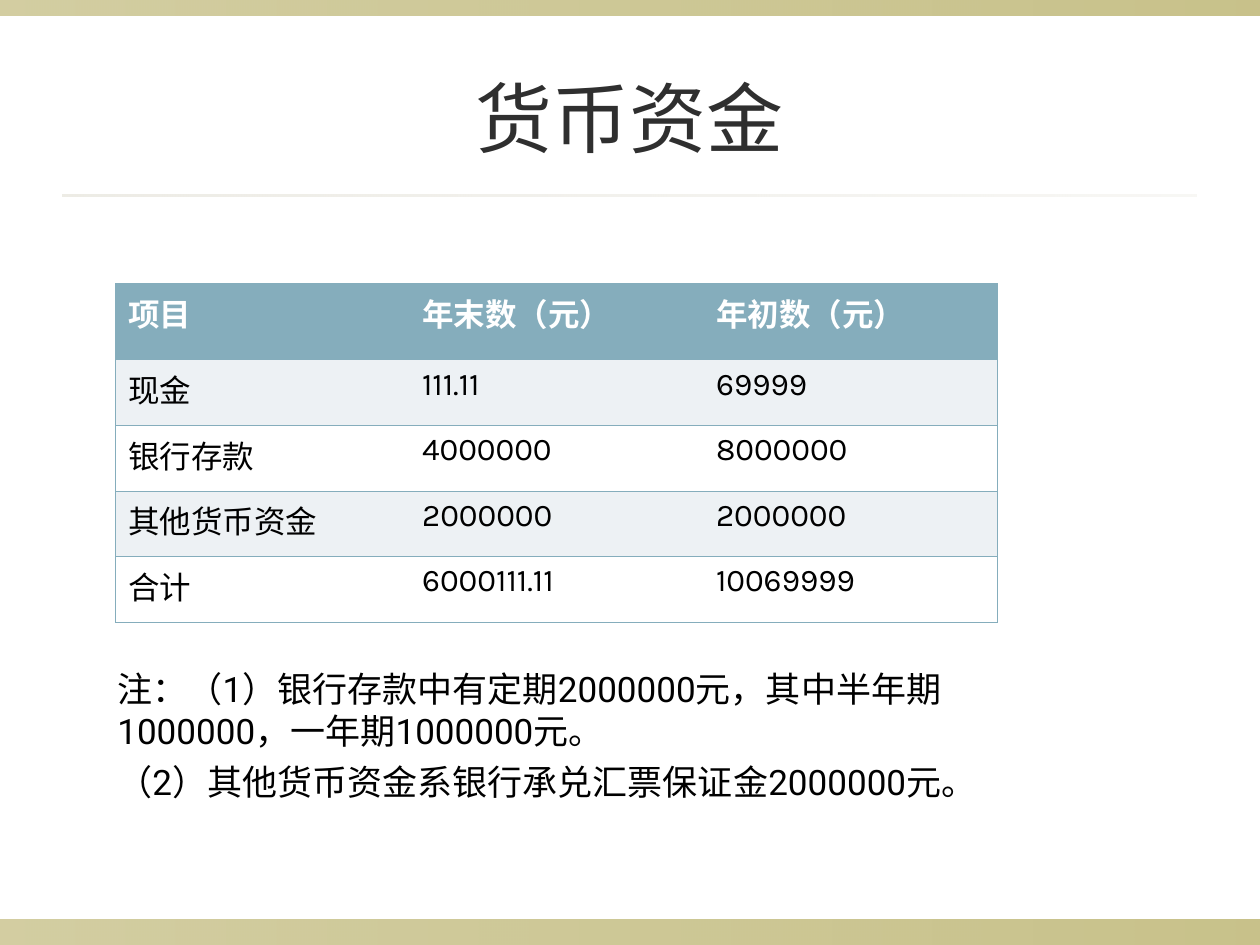
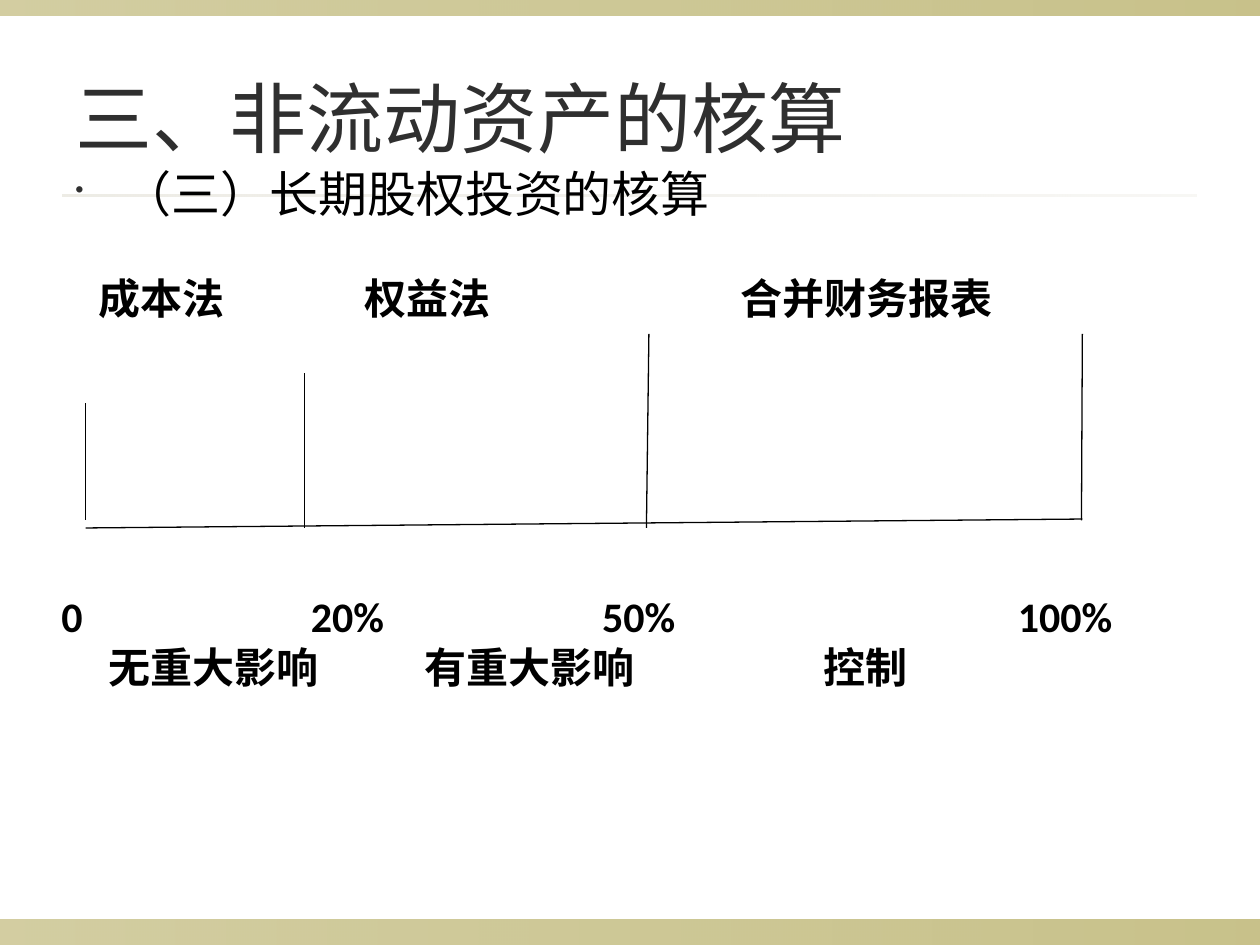
from lxml import etree
from pptx import Presentation
from pptx.dml.color import RGBColor
from pptx.enum import shapes as kinds, text as txt
from pptx.oxml import ns
from pptx.util import Pt

INK, BLACK, WHITE = "2F2F2F", "000000", "FFFFFF"
BLUE, PALE, OLIVE, SAND = "85ADBC", "EDF1F4", "918415", "DCD9CC"
TITLE = {"size": Pt(44), "name": "Karla"}
BODY = {"size": Pt(28), "name": "Karla"}
CELL = {"size": Pt(18), "name": "Karla", "bold": False}
NOTE = {"size": Pt(20), "name": "Roboto"}
LABEL = {"size": Pt(24), "name": "Calibri", "bold": True}


def rgb(value):
    return RGBColor.from_string(value)


def write(frame, lines, style, color=BLACK, align=txt.PP_ALIGN.LEFT,
          anchor=txt.MSO_ANCHOR.TOP, gap=0):
    frame.word_wrap = True
    frame.vertical_anchor = anchor
    for i, line in enumerate(lines):
        paragraph = frame.paragraphs[0] if i == 0 else frame.add_paragraph()
        paragraph.alignment = align
        if i and gap:
            paragraph.space_before = Pt(gap)
        run = paragraph.add_run()
        run.text = line
        for key, value in style.items():
            setattr(run.font, key, value)
        run.font.color.rgb = rgb(color)


deck = Presentation()
deck.slide_width, deck.slide_height = Pt(720), Pt(540)

# Bands, rule and title on both slides
bands = [  # left, top, width, height, colour, opacity from and to
    (0, 525.6, 720, 14.4, OLIVE, 40, 50),
    (0, 0, 720, 8.64, OLIVE, 40, 50),
    (36, 110.9, 648, 1.44, SAND, 50, 20),
]
titles = [("货币资金", txt.PP_ALIGN.CENTER),
          ("三、非流动资产的核算", txt.PP_ALIGN.LEFT)]
for title, align in titles:
    slide = deck.slides.add_slide(deck.slide_layouts[6])
    for *place, color, start, end in bands:
        band = slide.shapes.add_shape(kinds.MSO_SHAPE.RECTANGLE, *map(Pt, place))
        band.shadow.inherit = False
        band.line.fill.background()
        band.fill.gradient()
        band.fill.gradient_angle = 0
        for stop in band.fill.gradient_stops:
            stop.color.rgb = rgb(color)
        stop_colors = band.element.spPr.iter(ns.qn("a:srgbClr"))
        for stop_color, opacity in zip(stop_colors, (start, end)):
            etree.SubElement(stop_color, ns.qn("a:alpha"), val=str(opacity * 1000))
    heading = slide.shapes.add_textbox(Pt(36), Pt(21.6), Pt(648), Pt(90))
    write(heading.text_frame, [title], TITLE, INK, align, txt.MSO_ANCHOR.MIDDLE)

funds, investment = deck.slides

# Slide 1: balances
balances = [
    ("项目", "年末数（元）", "年初数（元）"),
    ("现金", "111.11", "69999"),
    ("银行存款", "4000000", "8000000"),
    ("其他货币资金", "2000000", "2000000"),
    ("合计", "6000111.11", "10069999"),
]
table = funds.shapes.add_table(5, 3, Pt(66), Pt(162), Pt(504), Pt(193.6)).table
for column in table.columns:
    column.width = Pt(168)
for r, entries in enumerate(balances):
    table.rows[r].height = Pt(43.6 if r == 0 else 37.5)
    for c, entry in enumerate(entries):
        cell = table.cell(r, c)
        style = {**CELL, "bold": r == 0}
        write(cell.text_frame, [entry], style, WHITE if r == 0 else BLACK)
        properties = cell._tc.get_or_add_tcPr()
        drawn = {"L": c == 0, "R": c == 2, "T": True, "B": True}
        for side, visible in drawn.items():
            border = etree.SubElement(properties, ns.qn(f"a:ln{side}"), w=str(Pt(0.45)))
            if visible:
                fill = etree.SubElement(border, ns.qn("a:solidFill"))
                etree.SubElement(fill, ns.qn("a:srgbClr"), val=BLUE)
            else:
                etree.SubElement(border, ns.qn("a:noFill"))
        cell.fill.solid()
        cell.fill.fore_color.rgb = rgb(BLUE if r == 0 else PALE if r % 2 else WHITE)

# Slide 1: notes
notes = funds.shapes.add_textbox(Pt(60), Pt(378), Pt(534), Pt(114))
write(notes.text_frame, [
    "注：（1）银行存款中有定期2000000元，其中半年期1000000，一年期1000000元。",
    "（2）其他货币资金系银行承兑汇票保证金2000000元。",
], NOTE, gap=5)

# Slide 2: bulleted subject
subject = investment.shapes.add_textbox(Pt(36), Pt(90), Pt(648), Pt(405))
write(subject.text_frame, ["（三）长期股权投资的核算"], BODY)
properties = subject.text_frame.paragraphs[0]._p.get_or_add_pPr()
properties.set("marL", str(Pt(27)))
properties.set("indent", str(-Pt(27)))
bullet_color = etree.SubElement(properties, ns.qn("a:buClr"))
etree.SubElement(bullet_color, ns.qn("a:srgbClr"), val=INK)
etree.SubElement(properties, ns.qn("a:buSzPct"), val="50000")
etree.SubElement(properties, ns.qn("a:buChar"), char="•")

# Slide 2: shareholding axis and its marks
axis_lines = [
    (49, 301.7, 618.5, 296.6),
    (49, 230.4, 49, 297.4),
    (174.2, 301.7, 174.2, 213.1),
    (369.4, 301.7, 370.8, 190.8),
    (618, 297.4, 618.5, 190.8),
]
for ends in axis_lines:
    mark = investment.shapes.add_connector(kinds.MSO_CONNECTOR.STRAIGHT, *map(Pt, ends))
    mark.line.color.rgb = rgb(BLACK)
    mark.line.width = Pt(0.75)
    etree.SubElement(mark.element.spPr, ns.qn("a:effectLst"))

# Slide 2: methods above the axis, shares and influence below
labels = [
    (49, 152, 106.6, 62.6, ["成本法"]),
    (201, 152, 125.3, 61.2, ["权益法"]),
    (416.2, 152, 180, 61.2, ["合并财务报表"]),
    (28, 334, 646.6, 155.5,
     ["0\t20%\t50%\t100%", "\t无重大影响\t有重大影响\t控制"]),
]
for *place, lines in labels:
    label = investment.shapes.add_shape(kinds.MSO_SHAPE.RECTANGLE, *map(Pt, place))
    label.shadow.inherit = False
    label.fill.solid()
    label.fill.fore_color.rgb = rgb(WHITE)
    label.line.color.rgb = rgb(WHITE)
    label.line.width = Pt(0.75)
    write(label.text_frame, lines, LABEL, align=txt.PP_ALIGN.JUSTIFY)

scale_tabs = [(142.5, 309, 546.5), (27, 207.5, 435.5)]
for paragraph, stops in zip(label.text_frame.paragraphs, scale_tabs):
    tabs = etree.SubElement(paragraph._p.get_or_add_pPr(), ns.qn("a:tabLst"))
    for stop in stops:
        etree.SubElement(tabs, ns.qn("a:tab"), pos=str(Pt(stop)), algn="l")

deck.save("out.pptx")
